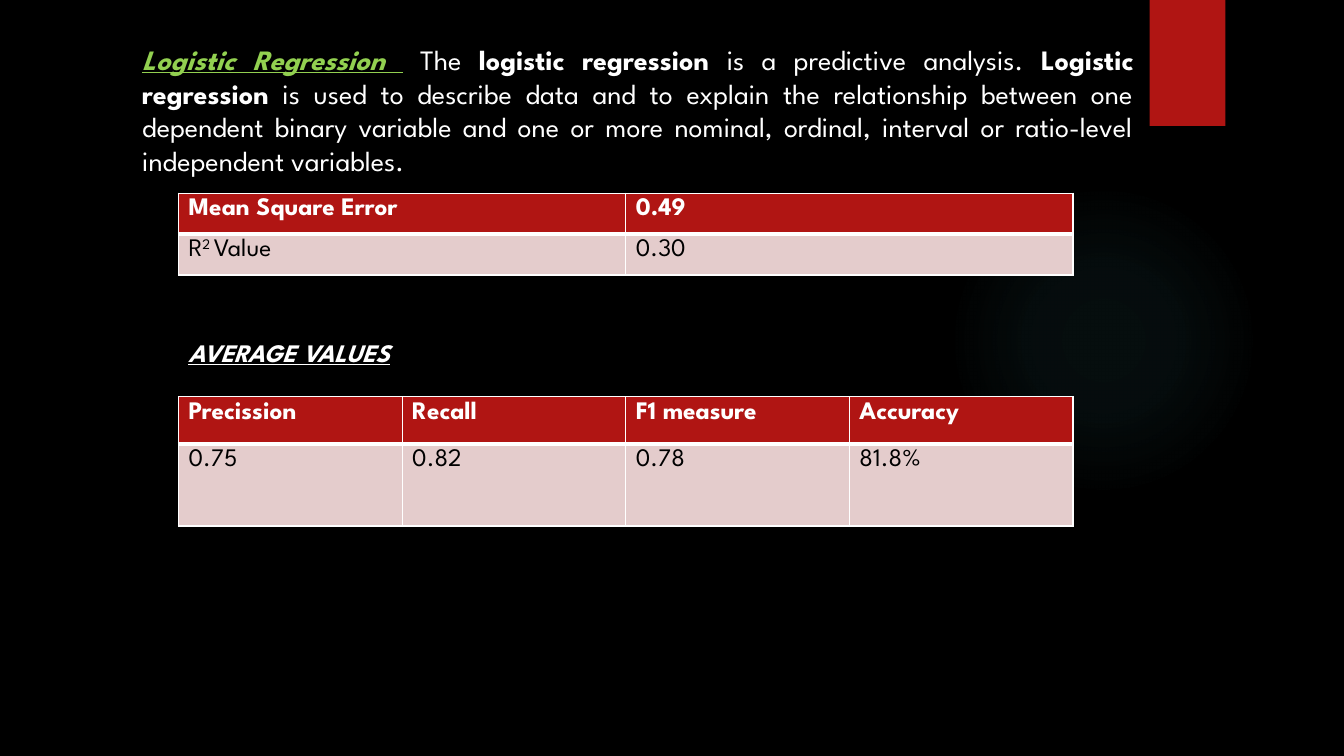
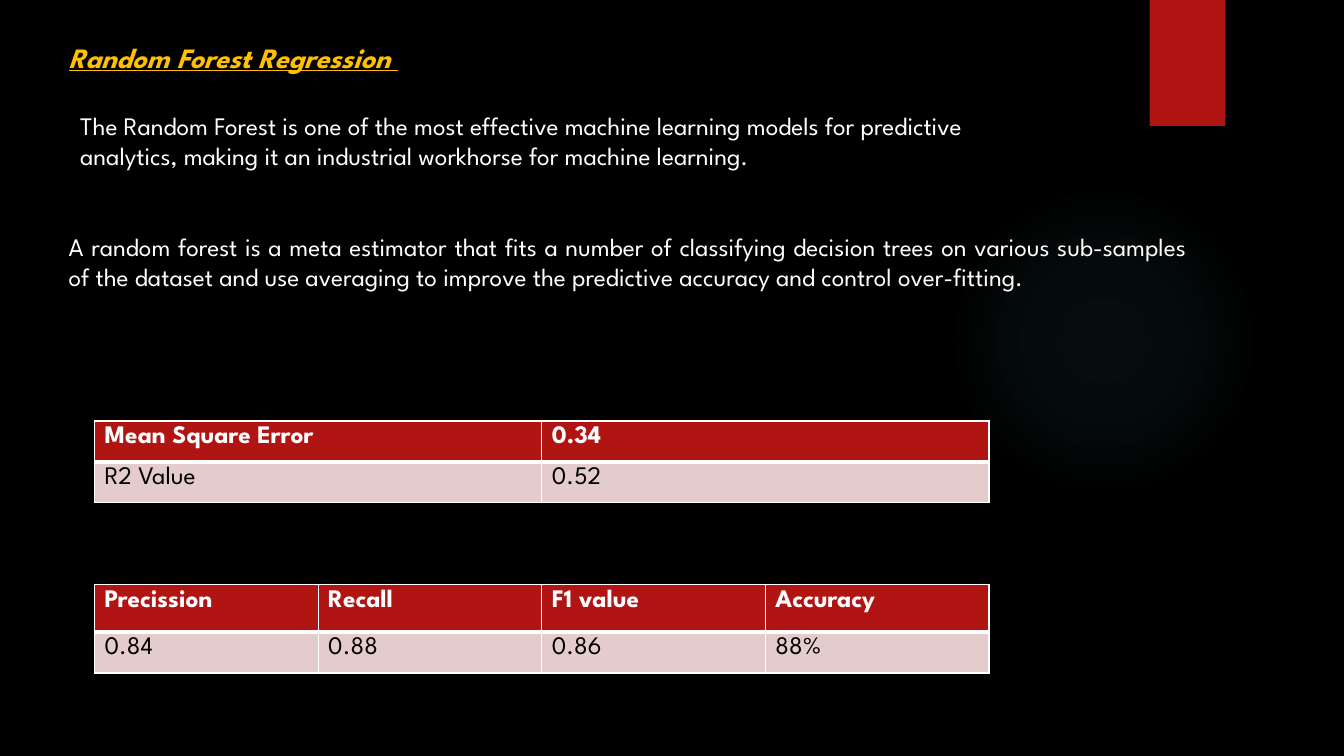
"""Build two slides on logistic and random forest regression results."""
from dataclasses import dataclass

from pptx import Presentation
from pptx.dml.color import RGBColor as RGB
from pptx.enum.shapes import MSO_SHAPE as SHAPE
from pptx.enum.text import PP_ALIGN as ALIGN
from pptx.oxml import parse_xml
from pptx.oxml.ns import nsdecls, qn
from pptx.util import Pt


@dataclass(frozen=True)
class Theme:
    font: str = "League Spartan"
    black: str = "000000"
    white: str = "FFFFFF"
    red: str = "B01513"
    pink: str = "E4CCCC"
    green: str = "92D050"
    gold: str = "FFC000"
    glow: str = "50B9C1"
    lead: int = 20
    body: int = 18
    thin: int = 1
    thick: int = 3


T = Theme()
PX = 9525
JUST, LEFT = ALIGN.JUSTIFY, ALIGN.LEFT
TABLE_W = 852


def add_runs(p, runs):
    for text, size, color, marks in runs:
        r = p.add_run()
        r.text = text
        f = r.font
        f.name, f.size, f.color.rgb = T.font, Pt(size), RGB.from_string(color)
        f.bold, f.italic, f.underline = "b" in marks, "i" in marks, "u" in marks
        if "^" in marks:
            r._r.get_or_add_rPr().set("baseline", "30000")


def set_border(cell, side, width):
    cell._tc.get_or_add_tcPr().append(parse_xml(
        f'<a:{side} {nsdecls("a")} w="{Pt(width)}"><a:solidFill>'
        f'<a:srgbClr val="{T.white}"/></a:solidFill></a:{side}>'))


def_head = (T.body, T.white, "b")
def_cell = (T.body, T.black, "")
plain = (T.lead, T.white, "")
strong = (T.lead, T.white, "b")

slides = [
    {
        "texts": [
            ((126, 36, 963, 611), [(JUST, 0, [
                ("Logistic Regression ", T.lead, T.green, "biu"),
                (" The ", *plain),
                ("logistic regression ", *strong),
                ("is a predictive analysis. ", *plain),
                ("Logistic regression", *strong),
                (" is used to describe data and to explain the relationship "
                 "between one dependent binary variable and one or more nominal, "
                 "ordinal, interval or ratio-level independent variables.", *plain),
            ])]),
            ((170, 317, 853, 38), [(LEFT, 0, [
                ("AVERAGE VALUES", T.body, T.white, "biu")])]),
        ],
        "tables": [
            (170, 184, (39, 39), [
                ["Mean Square Error", "0.49"],
                [[("R", *def_cell), ("2 ", T.body, T.black, "^"),
                  ("Value", *def_cell)], "0.30"]]),
            (170, 378, (45, 78), [
                ["Precission", "Recall", "F1 measure", "Accuracy"],
                ["0.75", "0.82", "0.78", "81.8%"]]),
        ],
    },
    {
        "texts": [
            ((56, 34, 1084, 623), [
                (LEFT, 0, [("Random Forest Regression ", T.lead, T.gold, "biu")]),
                (JUST, 112, [
                    ("A random forest is a meta estimator that fits a number of "
                     "classifying decision trees on various sub-samples of the "
                     "dataset and use averaging to improve the predictive accuracy "
                     "and control over-fitting.", T.body, T.white, "")]),
            ]),
            ((67, 100, 877, 97), [(LEFT, 0, [
                ("The Random Forest is one of the most effective machine learning "
                 "models for predictive analytics, making it an industrial "
                 "workhorse for machine learning.", T.body, T.white, "")])]),
        ],
        "tables": [
            (90, 401, (39, 39), [
                ["Mean Square Error", "0.34"],
                ["R2 Value", "0.52"]]),
            (90, 557, (45, 39), [
                ["Precission", "Recall", "F1 value", "Accuracy"],
                ["0.84", "0.88", "0.86", "88%"]]),
        ],
    },
]

prs = Presentation()
prs.slide_width, prs.slide_height = 1280 * PX, 720 * PX
bg = prs.slide_master.background.fill
bg.solid()
bg.fore_color.rgb = RGB.from_string(T.black)

stops = "".join(
    f'<a:gs pos="{pos}000"><a:srgbClr val="{T.glow}"><a:alpha val="{alpha}000"/>'
    "</a:srgbClr></a:gs>" for pos, alpha in ((0, 7), (36, 6), (69, 0)))
glow_fill = (
    f'<a:gradFill {nsdecls("a")}><a:gsLst>{stops}</a:gsLst><a:path path="circle">'
    '<a:fillToRect l="50000" t="50000" r="50000" b="50000"/></a:path></a:gradFill>')

for content in slides:
    s = prs.slides.add_slide(prs.slide_layouts[6])

    glow = s.shapes.add_shape(SHAPE.OVAL, 903 * PX, 176 * PX, 296 * PX, 296 * PX)
    glow.fill.gradient()
    spPr = glow.element.spPr
    spPr.replace(spPr.find(qn("a:gradFill")), parse_xml(glow_fill))
    band = s.shapes.add_shape(SHAPE.RECTANGLE, 1095 * PX, 0, 72 * PX, 120 * PX)
    band.fill.solid()
    band.fill.fore_color.rgb = RGB.from_string(T.red)
    for sp in (glow, band):
        sp.line.fill.background()
        sp.shadow.inherit = False

    for box, paras in content["texts"]:
        tf = s.shapes.add_textbox(*(v * PX for v in box)).text_frame
        tf.word_wrap = True
        for i, (align, before, runs) in enumerate(paras):
            p = tf.add_paragraph() if i else tf.paragraphs[0]
            p.alignment, p.space_before = align, Pt(before)
            add_runs(p, runs)

    for x, y, heights, rows in content["tables"]:
        n = len(rows[0])
        tbl = s.shapes.add_table(len(rows), n, x * PX, y * PX,
                                 TABLE_W * PX, sum(heights) * PX).table
        tbl.horz_banding = False
        for col in tbl.columns:
            col.width = TABLE_W // n * PX
        for i, (height, row) in enumerate(zip(heights, rows)):
            tbl.rows[i].height = height * PX
            for j, value in enumerate(row):
                cell = tbl.cell(i, j)
                style = def_cell if i else def_head
                add_runs(cell.text_frame.paragraphs[0],
                         [(value, *style)] if isinstance(value, str) else value)
                set_border(cell, "lnL", T.thin)
                set_border(cell, "lnR", T.thin)
                set_border(cell, "lnT", T.thick if i else T.thin)
                set_border(cell, "lnB", T.thin if i else T.thick)
                cell.fill.solid()
                cell.fill.fore_color.rgb = RGB.from_string(T.pink if i else T.red)

prs.save("out.pptx")
